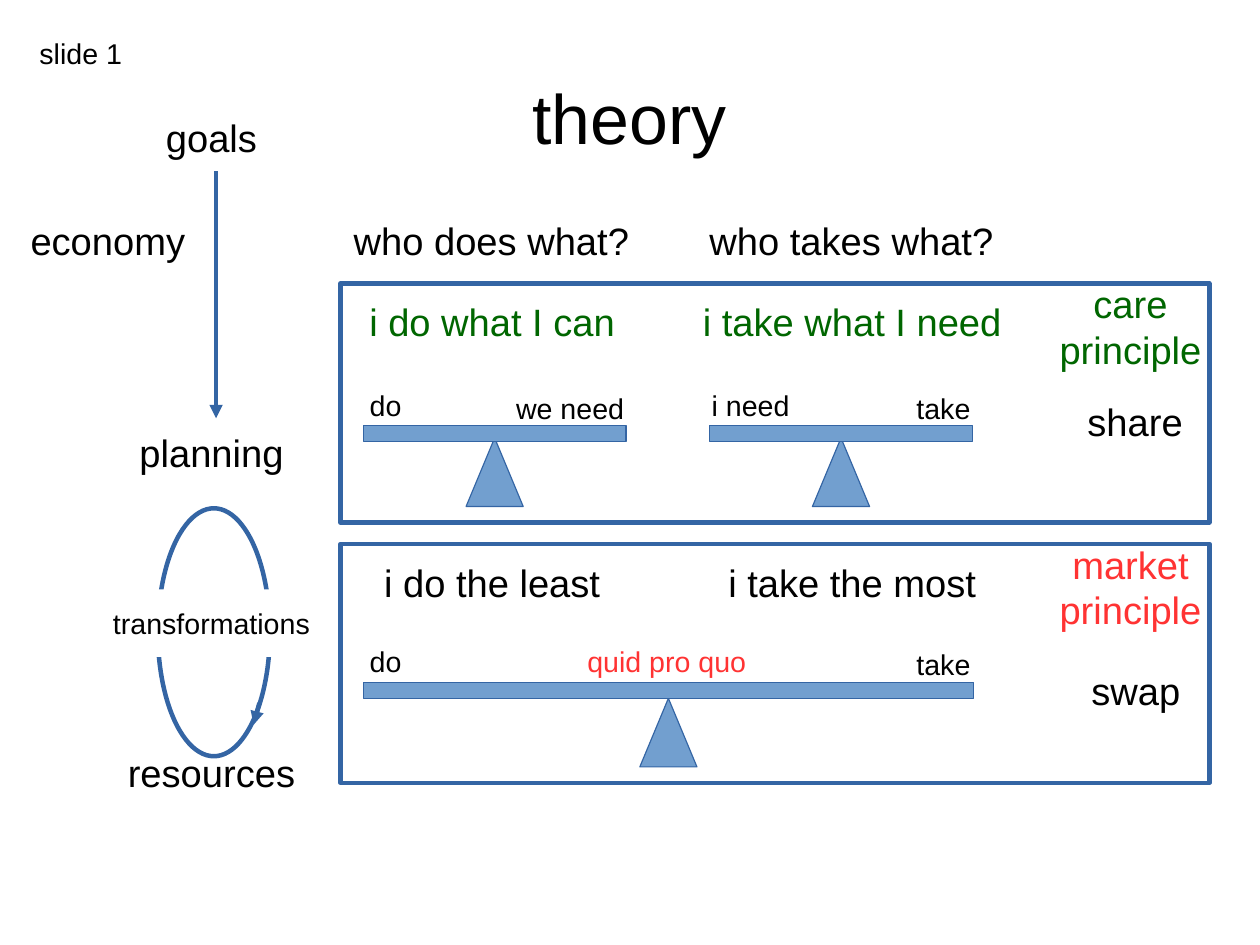
from lxml import etree
from pptx import Presentation
from pptx.dml.color import RGBColor
from pptx.enum.shapes import MSO_CONNECTOR, MSO_SHAPE
from pptx.enum.text import MSO_ANCHOR, MSO_AUTO_SIZE, PP_ALIGN
from pptx.oxml.ns import qn
from pptx.util import Pt

STRAIGHT = MSO_CONNECTOR.STRAIGHT
RECTANGLE, OVAL, TRIANGLE = MSO_SHAPE.RECTANGLE, MSO_SHAPE.OVAL, MSO_SHAPE.ISOSCELES_TRIANGLE
TOP, MIDDLE = MSO_ANCHOR.TOP, MSO_ANCHOR.MIDDLE
FIXED, GROW = MSO_AUTO_SIZE.NONE, MSO_AUTO_SIZE.SHAPE_TO_FIT_TEXT
LEFT, CENTER = PP_ALIGN.LEFT, PP_ALIGN.CENTER

BLACK = RGBColor(0x00, 0x00, 0x00)
WHITE = RGBColor(0xFF, 0xFF, 0xFF)
GREEN = RGBColor(0x00, 0x66, 0x00)
RED = RGBColor(0xFF, 0x33, 0x33)
BLUE = RGBColor(0x34, 0x65, 0xA4)
LIGHT_BLUE = RGBColor(0x72, 0x9F, 0xCF)

FONT = "Arial"
TITLE = "theory"
SLIDE_W, SLIDE_H = 793.7, 595.28
HEADING_SIZE, LABEL_SIZE = 24, 18
HEADING_W, HEADING_H, LABEL_H = 85, 42.5, 27.4
PLAN_X, DO_X, TAKE_X, PRINCIPLE_X = 90.7, 267.5, 494.3, 669.6
QUESTION_Y = 130
PANEL_X, PANEL_W, PANEL_H = 214.6, 547.2, 150.5
SHARE_Y, SWAP_Y = 178.6, 342.7
BEAM_H, PIVOT_W, PIVOT_H = 10.1, 36, 43.2

HEADINGS = [
    ("goals", PLAN_X, 65.2, BLACK),
    ("economy", 25.4, QUESTION_Y, BLACK),
    ("planning", PLAN_X, 263.5, BLACK),
    ("resources", PLAN_X, 465, BLACK),
    ("who does what?", 267, QUESTION_Y, BLACK),
    ("who takes what?", 493.8, QUESTION_Y, BLACK),
    ("i do what I can", DO_X, SHARE_Y + 2.6, GREEN),
    ("i take what I need", TAKE_X, SHARE_Y + 2.6, GREEN),
    ("care\nprinciple", PRINCIPLE_X, SHARE_Y + 5.7, GREEN),
    ("share", 672.5, 243.9, BLACK),
    ("i do the least", DO_X, SWAP_Y + 2.6, BLACK),
    ("i take the most", TAKE_X, SWAP_Y + 2.6, BLACK),
    ("market\nprinciple", PRINCIPLE_X, SWAP_Y + 5.7, RED),
    ("swap", 673, 413.8, BLACK),
]
LABELS = [
    ("slide 1", 17.8, 18.9, 67, BLACK),
    ("do", 225.8, 241, 35, BLACK),
    ("we need", 318, 242.7, 84, BLACK),
    ("i need", 441.2, 241, 64, BLACK),
    ("take", 570.2, 242.7, 49, BLACK),
    ("do", 225.8, 402.3, 35, BLACK),
    ("quid pro quo", 362.9, 401.8, 116, RED),
    ("take", 570.2, 403.9, 49, BLACK),
]
SEESAWS = [
    (228.8, 267.9, 165.6, 275.9),
    (447, 267.9, 165.6, 275.9),
    (228.8, 429.8, 384.5, 439.9),
]
ARROWS = [(136.1, 107.8, 136.1, 263.5), (163.4, 442.8, 159.8, 456.5)]


def write(shape, text, size, color, align, anchor, fit):
    frame = shape.text_frame
    frame.text = text
    frame.word_wrap = False
    frame.auto_size = fit
    frame.vertical_anchor = anchor
    for paragraph in frame.paragraphs:
        paragraph.alignment = align
        paragraph.font.name = FONT
        paragraph.font.size = Pt(size)
        paragraph.font.color.rgb = color


def add_text(slide, text, box, *style):
    write(slide.shapes.add_textbox(*map(Pt, box)), text, *style)


def add_shape(slide, kind, box, fill=None, line=None, weight=0):
    shape = slide.shapes.add_shape(kind, *map(Pt, box))
    shape.shadow.inherit = False
    if fill is None:
        shape.fill.background()
    else:
        shape.fill.solid()
        shape.fill.fore_color.rgb = fill
    if line is None:
        shape.line.fill.background()
    else:
        shape.line.color.rgb = line
        shape.line.width = Pt(weight)
    return shape


def add_arrow(slide, ends):
    arrow = slide.shapes.add_connector(STRAIGHT, *map(Pt, ends))
    arrow.line.color.rgb = BLUE
    arrow.line.width = Pt(2.83)
    outline = arrow._element.spPr.find(qn("a:ln"))
    etree.SubElement(outline, qn("a:tailEnd"), type="triangle")
    etree.SubElement(arrow._element.spPr, qn("a:effectLst"))


def add_title(slide):
    title = slide.shapes.title
    title.left, title.top, title.width, title.height = map(Pt, (39.6, 23.8, 714.2, 99.4))
    write(title, TITLE, 44, BLACK, CENTER, MIDDLE, FIXED)
    frame = title.text_frame
    frame.word_wrap = True
    frame.margin_left = frame.margin_right = frame.margin_top = frame.margin_bottom = 0


def main():
    """Build the slide that sets the care principle against the market principle."""
    deck = Presentation()
    deck.slide_width, deck.slide_height = Pt(SLIDE_W), Pt(SLIDE_H)
    slide = deck.slides.add_slide(deck.slide_layouts[5])
    add_title(slide)

    add_shape(slide, OVAL, (99.4, 320.2, 70.6, 156.2), line=BLUE, weight=2.83)
    transformations = add_shape(slide, RECTANGLE, (PLAN_X, 371.3, HEADING_W, HEADING_H), WHITE)
    write(transformations, "transformations", LABEL_SIZE, BLACK, CENTER, MIDDLE, FIXED)
    for ends in ARROWS:
        add_arrow(slide, ends)

    for top in (SHARE_Y, SWAP_Y):
        add_shape(slide, RECTANGLE, (PANEL_X, top, PANEL_W, PANEL_H), line=BLUE, weight=2.89)
    for left, top, width, pivot_top in SEESAWS:
        pivot_left = left + (width - PIVOT_W) / 2
        add_shape(slide, TRIANGLE, (pivot_left, pivot_top, PIVOT_W, PIVOT_H), LIGHT_BLUE, BLUE)
        add_shape(slide, RECTANGLE, (left, top, width, BEAM_H), LIGHT_BLUE, BLUE)

    for text, left, top, color in HEADINGS:
        add_text(slide, text, (left, top, HEADING_W, HEADING_H),
                 HEADING_SIZE, color, CENTER, MIDDLE, FIXED)
    for text, left, top, width, color in LABELS:
        add_text(slide, text, (left, top, width, LABEL_H),
                 LABEL_SIZE, color, LEFT, TOP, GROW)

    deck.save("out.pptx")


if __name__ == "__main__":
    main()
